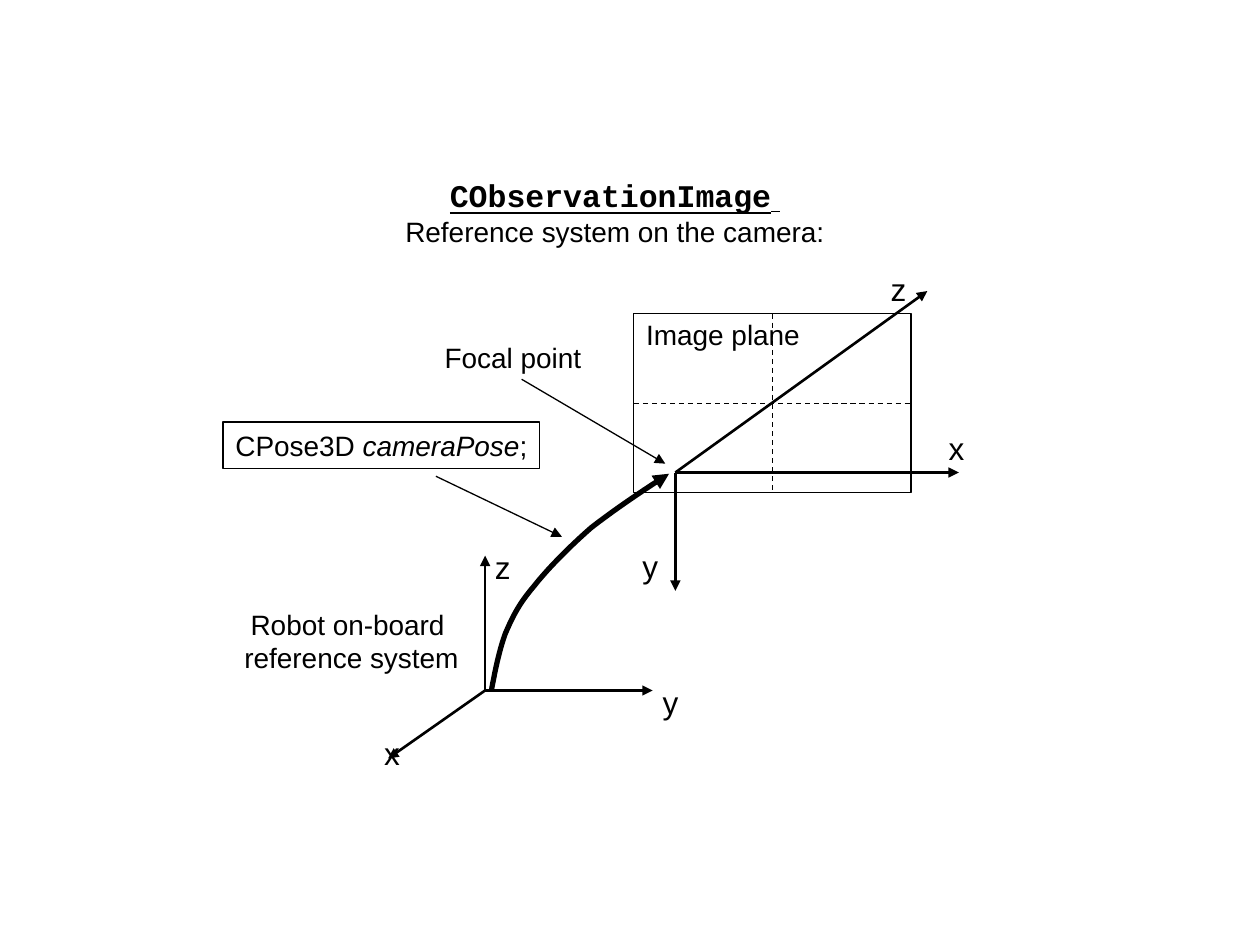
from dataclasses import dataclass

from lxml import etree
from pptx import Presentation
from pptx.dml.color import RGBColor
from pptx.enum.dml import MSO_LINE
from pptx.enum.shapes import MSO_CONNECTOR, MSO_SHAPE
from pptx.enum.text import MSO_ANCHOR, MSO_AUTO_SIZE, PP_ALIGN
from pptx.oxml.ns import qn
from pptx.util import Inches, Pt

STRAIGHT = MSO_CONNECTOR.STRAIGHT
RECT = MSO_SHAPE.RECTANGLE
DASH = MSO_LINE.DASH
TOP = MSO_ANCHOR.TOP
FIXED = MSO_AUTO_SIZE.NONE
LEFT, CENTER = PP_ALIGN.LEFT, PP_ALIGN.CENTER

INK = "000000"
THIN, AXIS, BOLD = 0.75, 1.5, 3
STEPS = 10


@dataclass
class Run:
    text: str
    size: float = 16
    face: str = "Arial"
    bold: bool = False
    italic: bool = False
    under: bool = False


@dataclass
class Box:
    x: float
    y: float
    w: float
    h: float


@dataclass
class Label:
    box: Box
    lines: list[list[Run]]
    align: int = LEFT


@dataclass
class Line:
    start: tuple[float, float]
    end: tuple[float, float]
    width: float = THIN
    arrow: bool = True


def color(code: str) -> RGBColor:
    return RGBColor.from_string(code)


def place(box: Box) -> list[int]:
    return [Inches(v) for v in (box.x, box.y, box.w, box.h)]


def write(shape, lines: list[list[Run]], align: int) -> None:
    frame = shape.text_frame
    frame.word_wrap = True
    frame.auto_size = FIXED
    frame.vertical_anchor = TOP
    frame.margin_left = Inches(0.1 if align == LEFT else 0)
    frame.margin_right = 0
    for i, runs in enumerate(lines):
        para = frame.add_paragraph() if i else frame.paragraphs[0]
        para.alignment = align
        for item in runs:
            run = para.add_run()
            run.text = item.text
            font = run.font
            font.name, font.size = item.face, Pt(item.size)
            font.bold, font.italic = item.bold, item.italic
            font.underline = item.under
            font.color.rgb = color(INK)


def add_label(shapes, label: Label) -> None:
    write(shapes.add_textbox(*place(label.box)), label.lines, label.align)


def add_mark(shapes, text: str, x: float, y: float) -> None:
    add_label(shapes, Label(Box(x, y, 0.32, 0.4), [[Run(text, 18)]]))


def add_frame(shapes, box: Box):
    shape = shapes.add_shape(RECT, *place(box))
    shape.shadow.inherit = False
    shape.fill.background()
    stroke(shape.line, THIN)
    return shape


def stroke(line, width: float) -> None:
    line.color.rgb = color(INK)
    line.width = Pt(width)


def add_head(shape) -> None:
    ln = shape.line._get_or_add_ln()
    etree.SubElement(ln, qn("a:tailEnd"), type="triangle")


def add_line(shapes, line: Line) -> None:
    ends = [Inches(v) for v in (*line.start, *line.end)]
    shape = shapes.add_connector(STRAIGHT, *ends)
    stroke(shape.line, line.width)
    if line.arrow:
        add_head(shape)
    else:
        shape.line.dash_style = DASH
    etree.SubElement(shape._element.spPr, qn("a:effectLst"))


def add_axes(shapes, origin: tuple[float, float], tips: list[tuple[float, float]]) -> None:
    for tip in tips:
        add_line(shapes, Line(origin, tip, AXIS))


def bezier(a: float, b: float, c: float, d: float, t: float) -> float:
    u = 1 - t
    return u**3 * a + 3 * u * u * t * b + 3 * u * t * t * c + t**3 * d


def add_curve(shapes, knots: list[tuple[float, float]]) -> None:
    points = [knots[0]]
    for i in range(0, len(knots) - 1, 3):
        xs, ys = zip(*knots[i:i + 4])
        for n in range(1, STEPS + 1):
            points.append((bezier(*xs, n / STEPS), bezier(*ys, n / STEPS)))
    spots = [(Inches(x), Inches(y)) for x, y in points]
    path = shapes.build_freeform(*spots[0])
    path.add_line_segments(spots[1:], close=False)
    shape = path.convert_to_shape()
    shape.shadow.inherit = False
    shape.fill.background()
    stroke(shape.line, BOLD)
    add_head(shape)


def main() -> None:
    deck = Presentation()
    deck.slide_width, deck.slide_height = Inches(10), Inches(7.5)
    slide = deck.slides.add_slide(deck.slide_layouts[5])
    shapes = slide.shapes

    title = shapes.title
    title.left, title.top, title.width, title.height = place(Box(3.12, 1.35, 3.52, 0.67))
    write(title, [
        [Run("CObservationImage", 18, "Courier New", bold=True, under=True),
         Run(" ", 18, under=True)],
        [Run("Reference system on the camera:")],
    ], CENTER)

    pose = add_frame(shapes, Box(1.77, 3.35, 2.51, 0.37))
    write(pose, [[Run("CPose3D "), Run("cameraPose", italic=True), Run(";")]], LEFT)

    robot = shapes.add_group_shape().shapes
    add_axes(robot, (3.85, 5.48), [(3.85, 4.41), (5.18, 5.48), (3.08, 6.02)])
    for text, x, y in [("z", 3.83, 4.3), ("x", 2.95, 5.78), ("y", 5.16, 5.37)]:
        add_mark(robot, text, x, y)
    add_label(robot, Label(Box(1.84, 4.77, 1.9, 0.64),
                           [[Run("Robot on-board ")], [Run("reference system")]], CENTER))

    add_axes(shapes, (5.36, 3.75), [(5.36, 4.69), (7.61, 3.75), (7.36, 2.31)])
    for text, x, y in [("z", 6.97, 2.09), ("x", 7.43, 3.36), ("y", 5, 4.29)]:
        add_mark(shapes, text, x, y)

    plane = shapes.add_group_shape().shapes
    box = Box(5.03, 2.49, 2.2, 1.42)
    mid_x, mid_y = box.x + box.w / 2, box.y + box.h / 2
    add_frame(plane, box)
    add_line(plane, Line((box.x, mid_y), (box.x + box.w, mid_y), arrow=False))
    add_line(plane, Line((mid_x, box.y), (mid_x, box.y + box.h), arrow=False))

    add_label(shapes, Label(Box(3.43, 2.65, 1.28, 0.37), [[Run("Focal point")]]))
    add_curve(shapes, [
        (3.9, 5.48), (3.93, 5.32), (3.96, 5.17), (4.01, 5.03),
        (4.07, 4.89), (4.12, 4.79), (4.24, 4.65),
        (4.35, 4.51), (4.52, 4.34), (4.69, 4.19),
        (4.87, 4.05), (5.09, 3.9), (5.31, 3.76),
    ])
    add_line(shapes, Line((3.46, 3.78), (4.46, 4.26)))
    add_line(shapes, Line((4.14, 3.01), (5.28, 3.68)))
    add_label(shapes, Label(Box(5.03, 2.47, 1.42, 0.37), [[Run("Image plane")]]))

    deck.save("out.pptx")


if __name__ == "__main__":
    main()
